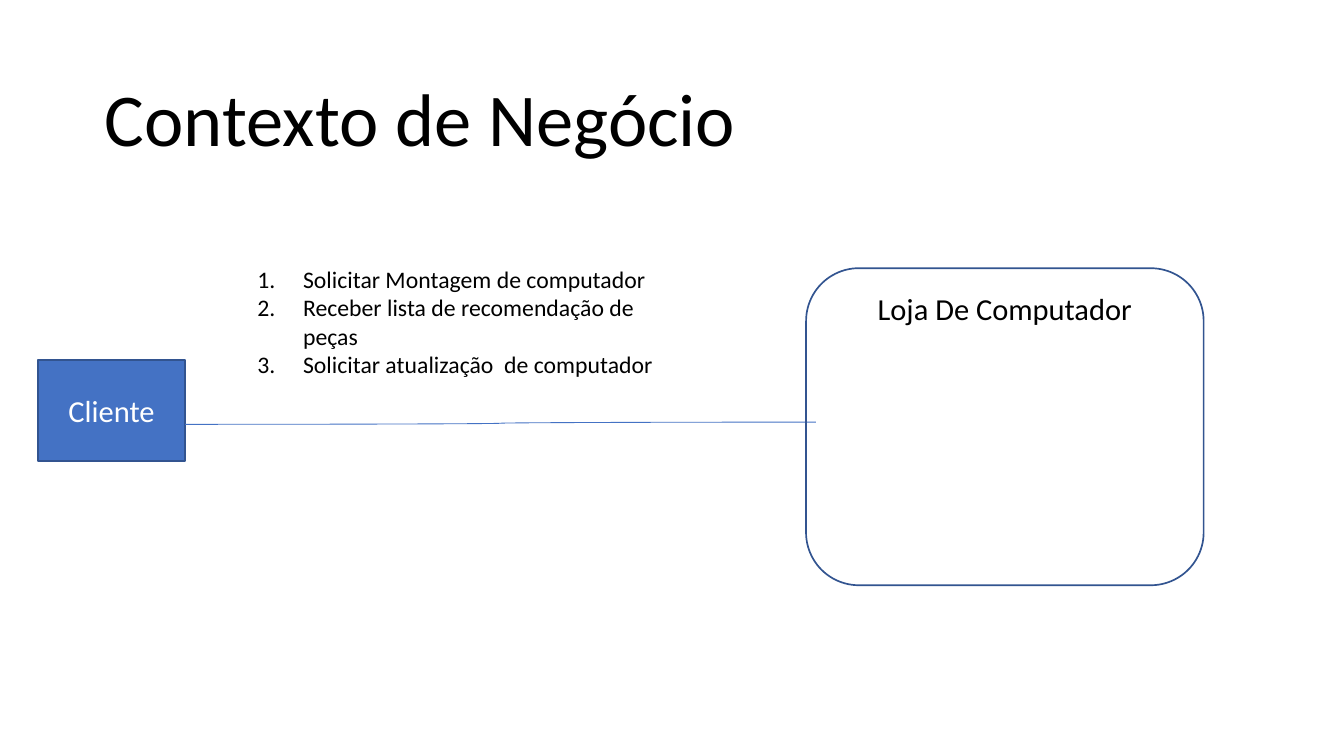
from lxml import etree
from pptx import Presentation
from pptx import util as u
from pptx.dml.color import RGBColor
from pptx.enum import shapes, text
from pptx.oxml.ns import qn

# Content: places are left, top, width, height in points
TITLE = "Contexto de Negócio"
TITLE_PLACE = (54.7, 28.8, 684.7, 86.4)
REQUESTS = [
    "Solicitar Montagem de computador",
    "Receber lista de recomendação de peças",
    "Solicitar atualização  de computador",
]
REQUESTS_PLACE = (144.7, 152.6, 271.4, 57.6)
CLIENT = dict(label="Cliente", kind=shapes.MSO_SHAPE.RECTANGLE,
              place=(22.3, 212.4, 87.1, 59.8), fill="4472C4",
              color="FFFFFF", anchor=text.MSO_ANCHOR.MIDDLE)
STORE = dict(label="Loja De Computador", kind=shapes.MSO_SHAPE.ROUNDED_RECTANGLE,
             place=(475.9, 158.4, 234.7, 187.2), fill=None,
             color="000000", anchor=text.MSO_ANCHOR.TOP)
LINK = (109.4, 250.6, 481.7, 249.3)
INDENT = 27


def rgb(value):
    return RGBColor.from_string(value)


def put(part, place):
    for side, value in zip(("left", "top", "width", "height"), place):
        setattr(part, side, u.Pt(value))


def write(part, lines, size, color, anchor, **paragraph_format):
    frame = part.text_frame
    frame.text = "\n".join(lines)
    frame_format = dict(
        word_wrap=True, auto_size=text.MSO_AUTO_SIZE.NONE, vertical_anchor=anchor,
        margin_left=u.Pt(7.2), margin_right=u.Pt(7.2),
        margin_top=u.Pt(3.6), margin_bottom=u.Pt(3.6))
    for key, value in frame_format.items():
        setattr(frame, key, value)
    for paragraph in frame.paragraphs:
        for key, value in paragraph_format.items():
            setattr(paragraph, key, value)
        for run in paragraph.runs:
            run.font.name, run.font.size = "Calibri", u.Pt(size)
            run.font.color.rgb = rgb(color)


def add_party(slide, party):
    box = slide.shapes.add_shape(party["kind"], *map(u.Pt, party["place"]))
    box.shadow.inherit = False
    if party["fill"]:
        box.fill.solid()
        box.fill.fore_color.rgb = rgb(party["fill"])
    else:
        box.fill.background()
    box.line.color.rgb, box.line.width = rgb("325490"), u.Pt(1)
    write(box, [party["label"]], 18, party["color"], party["anchor"],
          alignment=text.PP_ALIGN.CENTER)


deck = Presentation()
deck.slide_width, deck.slide_height = u.Pt(793.44), u.Pt(446.4)
slide = deck.slides.add_slide(deck.slide_layouts[1])
title, requests = slide.placeholders

# Title
put(title, TITLE_PLACE)
write(title, [TITLE], 44, "000000", text.MSO_ANCHOR.MIDDLE,
      alignment=text.PP_ALIGN.LEFT, line_spacing=0.9)

# Client and its link to the store
add_party(slide, CLIENT)
link = slide.shapes.add_connector(shapes.MSO_CONNECTOR.CURVE, *map(u.Pt, LINK))
link.line.color.rgb, link.line.width = rgb("4472C4"), u.Pt(0.5)
etree.SubElement(link._element.spPr, qn("a:effectLst"))

# Numbered requests
put(requests, REQUESTS_PLACE)
write(requests, REQUESTS, 14, "000000", text.MSO_ANCHOR.TOP,
      alignment=text.PP_ALIGN.LEFT, line_spacing=1.0, space_before=u.Pt(0))
for paragraph in requests.text_frame.paragraphs:
    properties = paragraph._p.get_or_add_pPr()
    properties.set("marL", str(u.Pt(INDENT)))
    properties.set("indent", str(-u.Pt(INDENT)))
    etree.SubElement(properties, qn("a:buFont"), typeface="Calibri")
    etree.SubElement(properties, qn("a:buAutoNum"), type="arabicPeriod")

# Store
add_party(slide, STORE)

deck.save("out.pptx")
